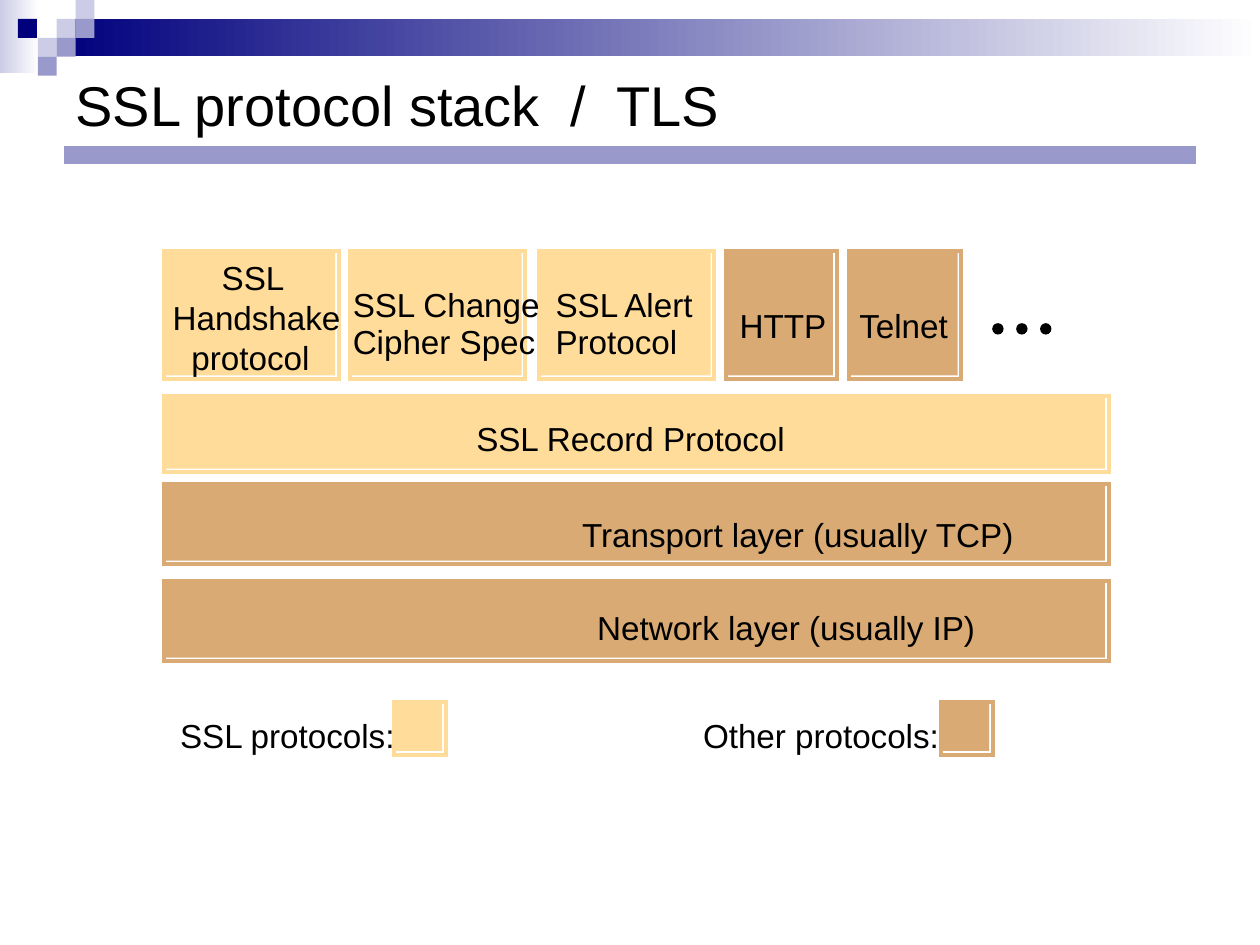
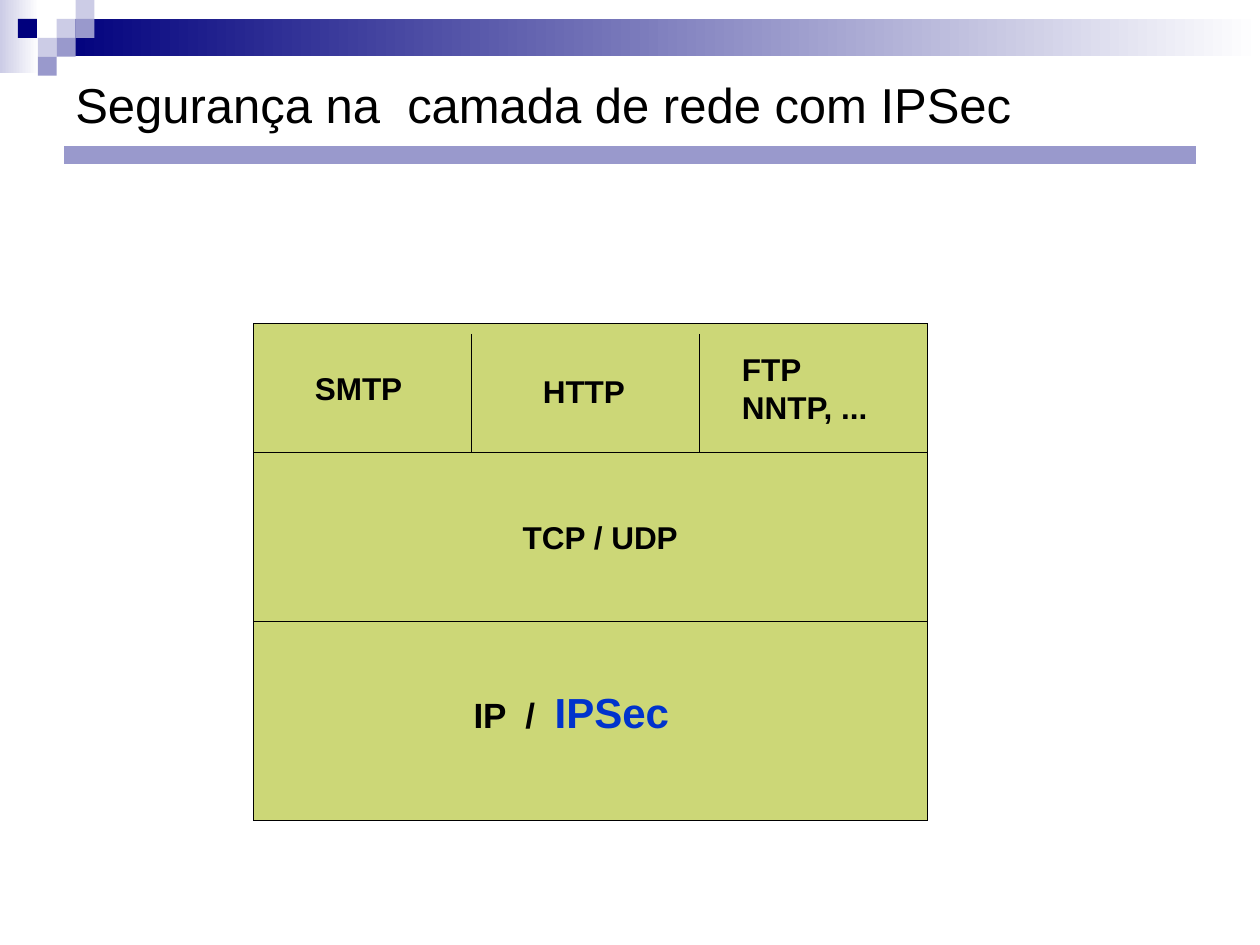
from dataclasses import dataclass

from lxml.etree import SubElement
from pptx import Presentation
from pptx.dml.color import RGBColor
from pptx.enum.shapes import MSO_CONNECTOR, MSO_SHAPE
from pptx.enum.text import MSO_ANCHOR, MSO_AUTO_SIZE
from pptx.oxml.ns import qn
from pptx.shapes.autoshape import Shape
from pptx.slide import Slide
from pptx.util import Inches, Pt

SLIDE_W, SLIDE_H = Inches(10), Inches(7.5)
COLS, ROWS = 100, 75
TILE = 1.5
FONT = "Arial"

NAVY, LILAC, PALE = "00007D", "9999CC", "CCCCE6"
WHITE, BLACK, BLUE = "FFFFFF", "000000", "0033CC"
SSL, OTHER, GREEN = "FFDC99", "D9AA73", "CCD777"

TIGHT = dict(word_wrap=False, margin_left=0, margin_top=0,
             margin_right=0, margin_bottom=0,
             auto_size=MSO_AUTO_SIZE.NONE)
PADDED = dict(word_wrap=True, auto_size=MSO_AUTO_SIZE.SHAPE_TO_FIT_TEXT)
TITLE = dict(word_wrap=True, vertical_anchor=MSO_ANCHOR.MIDDLE)


@dataclass(frozen=True)
class Box:
    col: float
    row: float
    cols: float
    rows: float


@dataclass(frozen=True)
class Panel:
    box: Box
    colour: str


@dataclass(frozen=True)
class Span:
    text: str
    size: float
    colour: str = BLACK
    bold: bool = False


@dataclass(frozen=True)
class Label:
    box: Box
    spans: tuple[Span, ...]


@dataclass(frozen=True)
class Rule:
    col1: float
    row1: float
    col2: float
    row2: float


def rgb(value: str) -> RGBColor:
    return RGBColor.from_string(value)


def across(cols: float) -> int:
    return round(SLIDE_W * cols / COLS)


def down(rows: float) -> int:
    return round(SLIDE_H * rows / ROWS)


def place(box: Box) -> tuple[int, int, int, int]:
    return across(box.col), down(box.row), across(box.cols), down(box.rows)


def add_block(s: Slide, box: Box, fill: str = "", line: str = "",
              width: float = 0.75, kind: MSO_SHAPE = MSO_SHAPE.RECTANGLE) -> Shape:
    sp = s.shapes.add_shape(kind, *place(box))
    sp.shadow.inherit = False
    if fill:
        sp.fill.solid()
        sp.fill.fore_color.rgb = rgb(fill)
    else:
        sp.fill.background()
    if line:
        sp.line.color.rgb = rgb(line)
        sp.line.width = Pt(width)
        ln = sp.element.spPr.find(qn("a:ln"))
        SubElement(ln, qn("a:miter")).set("lim", "800000")
    else:
        sp.line.fill.background()
    return sp


def add_fade(s: Slide, box: Box, colour: str) -> None:
    sp = add_block(s, box)
    sp.fill.gradient()
    sp.fill.gradient_angle = 0
    for stop, value in zip(sp.fill.gradient_stops, (colour, WHITE)):
        stop.color.rgb = rgb(value)


def add_rule(s: Slide, rule: Rule, colour: str = BLACK, width: float = 0.75) -> None:
    cx = s.shapes.add_connector(MSO_CONNECTOR.STRAIGHT,
                                across(rule.col1), down(rule.row1),
                                across(rule.col2), down(rule.row2))
    cx.line.color.rgb = rgb(colour)
    cx.line.width = Pt(width)
    SubElement(cx.element.spPr, qn("a:effectLst"))


def add_label(s: Slide, label: Label, frame: dict) -> None:
    tf = s.shapes.add_textbox(*place(label.box)).text_frame
    for name, value in frame.items():
        setattr(tf, name, value)
    p = tf.paragraphs[0]
    for span in label.spans:
        for i, text in enumerate(span.text.split("\n")):
            if i:
                p.add_line_break()
            r = p.add_run()
            r.text = text
            font = dict(name=FONT, size=Pt(span.size), bold=span.bold)
            for name, value in font.items():
                setattr(r.font, name, value)
            r.font.color.rgb = rgb(span.colour)


def add_panel(s: Slide, panel: Panel) -> None:
    b = panel.box
    add_block(s, Box(b.col, b.row, b.cols - 0.3, b.rows - 0.3), fill=panel.colour)
    add_block(s, b, line=panel.colour, width=2.25)


def add_base(prs: Presentation, title: str, size: float) -> Slide:
    s = prs.slides.add_slide(prs.slide_layouts[6])
    add_fade(s, Box(0, 0, 3.1, 5.8), PALE)
    add_fade(s, Box(3 * TILE, TILE, COLS - 3 * TILE, 2.95), NAVY)
    tiles = ((3, 1, PALE), (4, 0, PALE), (4, 1, LILAC), (2, 2, PALE),
             (0.95, 1, NAVY), (3, 2, LILAC), (2, 3, LILAC))
    for col, row, colour in tiles:
        add_block(s, Box(col * TILE, row * TILE, TILE, TILE), fill=colour)
    add_rule(s, Rule(5.1, 12.3, 94.9, 12.3), LILAC, 10)
    add_label(s, Label(Box(5, 5, 90, 6.5), (Span(title, size),)), TITLE)
    return s


def build_ssl_stack(prs: Presentation) -> None:
    s = add_base(prs, "SSL protocol stack  /  TLS", 32)

    top_row = ((13, 13.9, SSL), (27.8, 13.9, SSL), (42.8, 13.9, SSL),
               (57.6, 8.8, OTHER), (67.4, 8.9, OTHER))
    layers = ((31.4, 6.1, SSL), (38.4, 6.4, OTHER), (46.1, 6.4, OTHER))
    keys = ((31.3, SSL), (74.7, OTHER))
    panels = [Panel(Box(col, 19.9, cols, 10.2), c) for col, cols, c in top_row]
    panels += [Panel(Box(13, row, 75, rows), c) for row, rows, c in layers]
    panels += [Panel(Box(col, 55.7, 4.1, 4.2), c) for col, c in keys]
    for panel in panels:
        add_panel(s, panel)

    labels = (
        (17.6, 20.4, 5.5, "SSL"),
        (13.7, 23.6, 13.8, "Handshake"),
        (15.2, 26.8, 10, "protocol"),
        (28, 22.6, 15.4, "SSL Change"),
        (28, 25.5, 15, "Cipher Spec"),
        (44.1, 22.6, 11.6, "SSL Alert"),
        (44.1, 25.5, 10.2, "Protocol"),
        (58.7, 24.2, 7.4, "HTTP"),
        (68.2, 24.2, 7.8, "Telnet"),
        (37.8, 33.2, 25.2, "SSL Record Protocol"),
        (46.2, 40.8, 35, "Transport layer (usually TCP)"),
        (47.4, 48.2, 30.6, "Network layer (usually IP)"),
        (14.3, 56.8, 17.6, "SSL protocols:"),
        (55.8, 56.8, 19.4, "Other protocols:"),
    )
    for col, row, cols, text in labels:
        add_label(s, Label(Box(col, row, cols, 3.2), (Span(text, 19),)), TIGHT)

    for i in range(3):
        add_block(s, Box(78.8 + 1.9 * i, 25.7, 0.8, 0.8), BLACK, BLACK,
                  kind=MSO_SHAPE.OVAL)


def build_ipsec_stack(prs: Presentation) -> None:
    s = add_base(prs, "Segurança na  camada de rede com IPSec", 28)

    stack = Box(20.1, 25.7, 53.5, 39.4)
    right = stack.col + stack.cols
    app_floor, transport_floor = 35.9, 49.3
    add_block(s, stack, GREEN, BLACK)
    for row in (app_floor, transport_floor):
        add_rule(s, Rule(stack.col, row, right, row))
    for col in (37.4, 55.5):
        add_rule(s, Rule(col, 26.5, col, app_floor))

    protocols = (
        (Box(42.1, 29, 8.7, 4), "HTTP"),
        (Box(24, 28.8, 11.9, 4), "SMTP"),
        (Box(57.9, 27.3, 14.9, 7), "FTP\nNNTP, ..."),
        (Box(40.5, 40.6, 16.5, 4), "TCP / UDP"),
    )
    for box, text in protocols:
        add_label(s, Label(box, (Span(text, 18, bold=True),)), PADDED)
    network = (Span("IP  /  ", 20, bold=True), Span("IPSec", 24, BLUE, True))
    add_label(s, Label(Box(36.6, 54, 18.9, 5), network), PADDED)


def main() -> None:
    prs = Presentation()
    prs.slide_width, prs.slide_height = SLIDE_W, SLIDE_H
    build_ssl_stack(prs)
    build_ipsec_stack(prs)
    prs.save("out.pptx")


if __name__ == "__main__":
    main()
